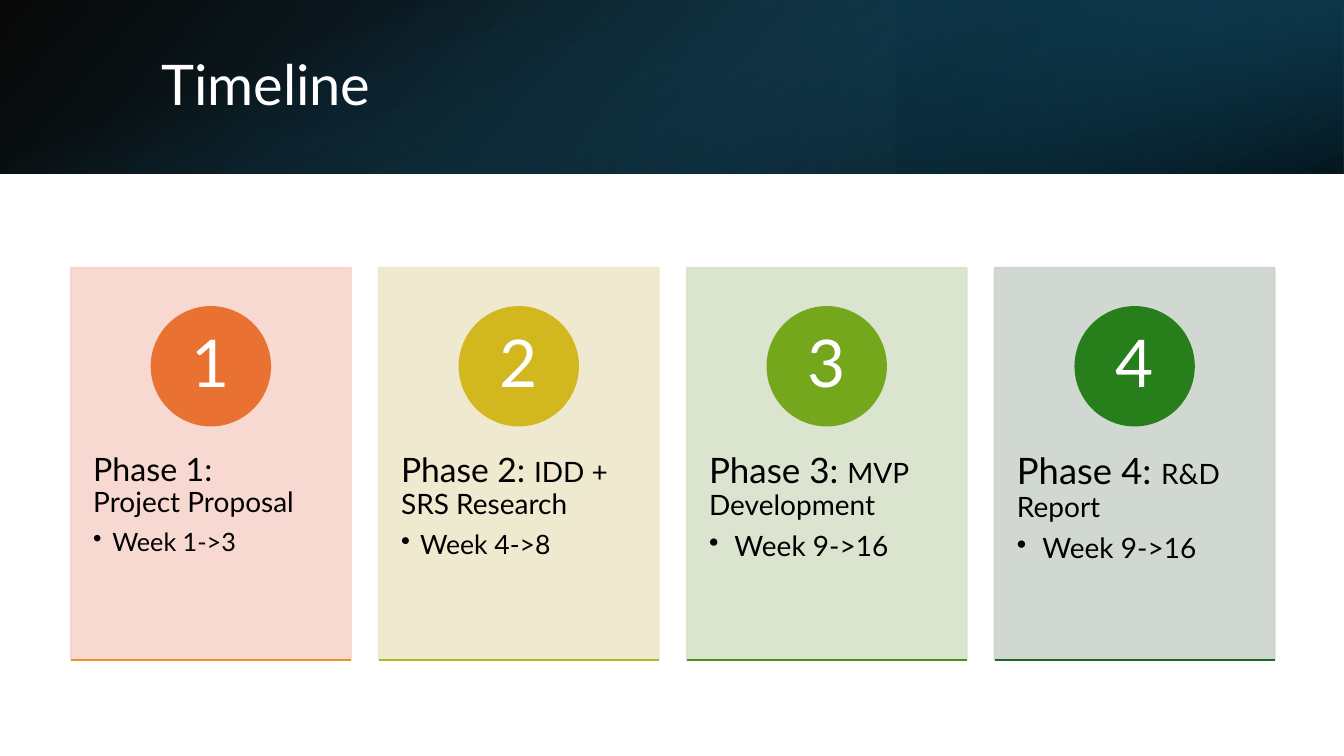
"""Build the project timeline slide with four phase cards."""
from lxml.etree import SubElement
from pptx import Presentation
from pptx.dml.color import RGBColor
from pptx.enum.shapes import MSO_CONNECTOR, MSO_SHAPE
from pptx.enum.text import MSO_ANCHOR, PP_ALIGN
from pptx.oxml.ns import qn
from pptx.util import Cm, Pt

FONT = "Lato"
COLORS = {"white": "FFFFFF", "black": "000000", "navy": "104862",
          "deep": "0B3041", "teal": "156082"}
TITLE = "Timeline"
PHASES = [
    {"label": "Phase 1: ", "size": 23, "name": "Project Proposal", "break": True,
     "weeks": "Week 1->3", "weeks_size": 18, "indent": 0.48,
     "card": "F7D5CE", "circle": "E97132", "base": "E49622"},
    {"label": "Phase 2: ", "size": 24, "name": "IDD + SRS Research", "break": False,
     "weeks": "Week 4->8", "weeks_size": 19, "indent": 0.48,
     "card": "EEE7CB", "circle": "D2B81E", "base": "ABBC1E"},
    {"label": "Phase 3: ", "size": 25, "name": "MVP Development", "break": False,
     "weeks": "Week 9->16", "weeks_size": 20, "indent": 0.64,
     "card": "D8E2CA", "circle": "75A71D", "base": "49931D"},
    {"label": "Phase 4: ", "size": 26, "name": "R&D Report", "break": False,
     "weeks": "Week 9->16", "weeks_size": 20, "indent": 0.64,
     "card": "CCD4CD", "circle": "277F1B", "base": "196B24"},
]
WIDTH, HEIGHT, BANNER = 33.87, 19.05, 4.37
SIDE = (WIDTH - BANNER) / 2
BANNER_LAYERS = [
    {"box": (0, 0, WIDTH, BANNER), "rotation": 0, "flip": True, "angle": 140,
     "stops": [(0, "black", 96), (1, "navy", 100 - 4)]},
    {"box": (22.58, 0, 11.29, BANNER), "rotation": 180, "flip": True, "angle": 320,
     "stops": [(0.19, "deep", 68), (1, "teal", 79)]},
    {"box": (SIDE, -SIDE, BANNER, WIDTH), "rotation": 90, "flip": False, "angle": 340,
     "stops": [(0.23, "teal", 0), (0.99, "black", 74)]},
]
CARD_LEFT, CARD_TOP, CARD_WIDTH, CARD_HEIGHT, CARD_PITCH = 1.79, 6.75, 7.05, 9.88, 7.76
CIRCLE_TOP, CIRCLE_SIZE = 7.74, 2.98
TEXT_TOP, TEXT_HEIGHT = 10.52, 5.92


def set_opacity(container, percent):
    for color in container.iter(qn("a:srgbClr")):
        SubElement(color, qn("a:alpha")).set("val", str(percent * 1000))


def add_filled(slide, kind, box, color, opacity=100):
    shape = slide.shapes.add_shape(kind, *map(Cm, box))
    shape.shadow.inherit = False
    shape.fill.solid()
    shape.fill.fore_color.rgb = RGBColor.from_string(color)
    shape.line.color.rgb = RGBColor.from_string(color)
    shape.line.width = Pt(1.5)
    if opacity < 100:
        set_opacity(shape.element.spPr, opacity)
    return shape


def add_banner_layer(slide, layer):
    shape = slide.shapes.add_shape(MSO_SHAPE.RECTANGLE, *map(Cm, layer["box"]))
    shape.shadow.inherit = False
    shape.line.fill.background()
    shape.rotation = layer["rotation"]
    if layer["flip"]:
        shape.element.spPr.find(qn("a:xfrm")).set("flipH", "1")
    shape.fill.gradient()
    shape.fill.gradient_angle = 360 - layer["angle"]
    stops = shape.element.spPr.iter(qn("a:gs"))
    for stop, element, (position, color, opacity) in zip(
            shape.fill.gradient_stops, stops, layer["stops"]):
        stop.position = position
        stop.color.rgb = RGBColor.from_string(COLORS[color])
        set_opacity(element, opacity)


def format_paragraph(paragraph, size, color, space_after=0):
    paragraph.font.name = FONT
    paragraph.font.size = Pt(size)
    paragraph.font.color.rgb = RGBColor.from_string(COLORS[color])
    paragraph.line_spacing = 0.9
    paragraph.space_after = Pt(space_after)


def add_bullet(paragraph, indent):
    properties = paragraph._p.get_or_add_pPr()
    properties.set("marL", str(Cm(indent)))
    properties.set("indent", str(-Cm(indent)))
    SubElement(properties, qn("a:buChar")).set("char", "•")


def add_description(slide, left, phase):
    box = slide.shapes.add_textbox(
        Cm(left), Cm(TEXT_TOP), Cm(CARD_WIDTH), Cm(TEXT_HEIGHT))
    frame = box.text_frame
    frame.word_wrap = True
    frame.margin_left = frame.margin_right = Cm(0.56)
    frame.margin_top = frame.margin_bottom = Cm(0.91)
    heading = frame.paragraphs[0]
    format_paragraph(heading, 20, "black", 8)
    label = heading.add_run()
    label.text = phase["label"]
    label.font.size = Pt(phase["size"])
    if phase["break"]:
        heading.add_line_break()
    heading.add_run().text = phase["name"]
    weeks = frame.add_paragraph()
    weeks.text = phase["weeks"]
    format_paragraph(weeks, phase["weeks_size"], "black")
    weeks.level = 1
    add_bullet(weeks, phase["indent"])


def add_phase(slide, index, phase):
    left = CARD_LEFT + index * CARD_PITCH
    add_filled(slide, MSO_SHAPE.RECTANGLE,
               (left, CARD_TOP, CARD_WIDTH, CARD_HEIGHT), phase["card"], 90)
    add_description(slide, left, phase)
    circle_left = left + (CARD_WIDTH - CIRCLE_SIZE) / 2
    circle = add_filled(slide, MSO_SHAPE.OVAL,
                        (circle_left, CIRCLE_TOP, CIRCLE_SIZE, CIRCLE_SIZE),
                        phase["circle"])
    frame = circle.text_frame
    frame.vertical_anchor = MSO_ANCHOR.MIDDLE
    frame.margin_top = frame.margin_bottom = Cm(0.03)
    number = frame.paragraphs[0]
    number.text = str(index + 1)
    number.alignment = PP_ALIGN.CENTER
    format_paragraph(number, 47, "white")
    bottom = Cm(CARD_TOP + CARD_HEIGHT)
    base = slide.shapes.add_connector(
        MSO_CONNECTOR.STRAIGHT, Cm(left), bottom, Cm(left + CARD_WIDTH), bottom)
    base.line.color.rgb = RGBColor.from_string(phase["base"])
    base.line.width = Pt(1.5)
    SubElement(base.element.spPr, qn("a:effectLst"))


def main():
    presentation = Presentation()
    presentation.slide_width, presentation.slide_height = Cm(WIDTH), Cm(HEIGHT)
    slide = presentation.slides.add_slide(presentation.slide_layouts[5])
    for layer in BANNER_LAYERS:
        add_banner_layer(slide, layer)
    title = slide.shapes.title
    title.left, title.top, title.width, title.height = map(Cm, (3.81, 0.97, 27.89, 2.44))
    title.text_frame.vertical_anchor = MSO_ANCHOR.MIDDLE
    heading = title.text_frame.paragraphs[0]
    heading.text = TITLE
    heading.alignment = PP_ALIGN.LEFT
    format_paragraph(heading, 40, "white")
    slide.shapes._spTree.append(title.element)
    for index, phase in enumerate(PHASES):
        add_phase(slide, index, phase)
    presentation.save("out.pptx")


if __name__ == "__main__":
    main()
